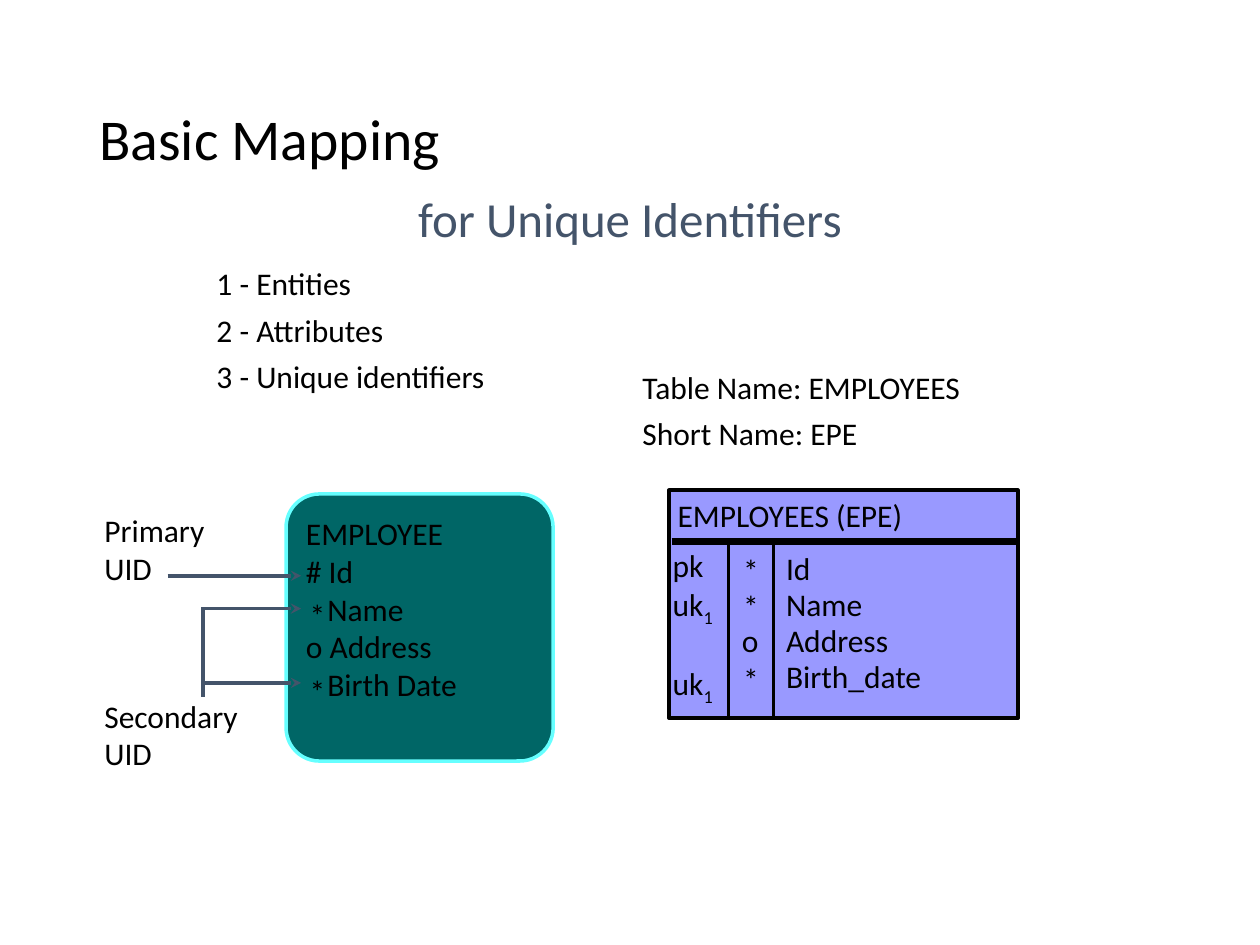
from dataclasses import dataclass

from lxml.etree import SubElement
from pptx import Presentation
from pptx.dml.color import RGBColor as Rgb
from pptx.enum.shapes import MSO_CONNECTOR as Connector, MSO_SHAPE as Preset
from pptx.enum.text import MSO_ANCHOR as Anchor, PP_ALIGN as Align
from pptx.oxml.ns import qn
from pptx.util import Inches, Pt


@dataclass(frozen=True)
class Theme:
    font: str = "Calibri"
    ink: str = "000000"
    accent: str = "44546A"
    entity_fill: str = "006666"
    entity_edge: str = "66FFFF"
    table_fill: str = "9999FF"
    title: float = 33
    subtitle: float = 28
    body: float = 18
    thin: float = 2
    thick: float = 4


@dataclass(frozen=True)
class Row:
    text: str
    subscript: str = ""
    indent: float = 0
    before: float = 0


@dataclass(frozen=True)
class Panel:
    preset: Preset
    box: tuple
    fill: str
    edge: str


@dataclass(frozen=True)
class Rule:
    start: tuple
    end: tuple
    color: str
    width: float = 2
    arrow: bool = False


THEME = Theme()


def add_text(slide, box: tuple, rows: list, *, size: float = THEME.body,
             color: str = THEME.ink, align: Align = Align.LEFT,
             anchor: Anchor = Anchor.TOP, spacing: float = 1.0,
             gap: float = 0) -> None:
    frame = slide.shapes.add_textbox(*map(Inches, box)).text_frame
    frame.word_wrap = True
    frame.vertical_anchor = anchor
    for index, row in enumerate(rows):
        paragraph = frame.paragraphs[0] if index == 0 else frame.add_paragraph()
        paragraph.alignment = align
        paragraph.line_spacing = spacing
        if index:
            paragraph.space_before = Pt(gap + row.before)
        if row.indent:
            paragraph._p.get_or_add_pPr().set("marL", str(Inches(row.indent)))
        for part, offset in ((row.text, 0), (row.subscript, -25000)):
            if not part:
                continue
            run = paragraph.add_run()
            run.text = part
            run.font.name = THEME.font
            run.font.size = Pt(size)
            run.font.color.rgb = Rgb.from_string(color)
            if offset:
                run._r.get_or_add_rPr().set("baseline", str(offset))


def add_panel(slide, panel: Panel) -> None:
    shape = slide.shapes.add_shape(panel.preset, *map(Inches, panel.box))
    shape.shadow.inherit = False
    shape.fill.solid()
    shape.fill.fore_color.rgb = Rgb.from_string(panel.fill)
    shape.line.color.rgb = Rgb.from_string(panel.edge)
    shape.line.width = Pt(THEME.thin)
    if panel.preset == Preset.ROUNDED_RECTANGLE:
        shape.adjustments[0] = 0.125


def add_rule(slide, rule: Rule) -> None:
    line = slide.shapes.add_connector(
        Connector.STRAIGHT, *map(Inches, rule.start + rule.end))
    line.line.color.rgb = Rgb.from_string(rule.color)
    line.line.width = Pt(rule.width)
    if rule.arrow:
        SubElement(line.line._get_or_add_ln(), qn("a:tailEnd"), type="stealth")
    SubElement(line._element.spPr, qn("a:effectLst"))


def plain(*texts: str) -> list:
    return [Row(text) for text in texts]


def add_headings(slide) -> None:
    add_text(slide, (0.69, 0.4, 8.62, 1.45), plain("Basic Mapping"),
             size=THEME.title, anchor=Anchor.MIDDLE, spacing=0.9)
    add_text(slide, (1.01, 1.45, 7.98, 0.96), plain("for Unique Identifiers"),
             size=THEME.subtitle, color=THEME.accent, align=Align.CENTER)
    add_text(slide, (1.62, 2.07, 2.67, 1.17),
             plain("1 - Entities", "2 - Attributes", "3 - Unique identifiers"),
             spacing=0.95, gap=6)
    add_text(slide, (5, 2.89, 3.31, 0.78),
             plain("Table Name: EMPLOYEES", "Short Name: EPE"),
             spacing=0.95, gap=6)


def add_entity(slide) -> None:
    add_panel(slide, Panel(Preset.ROUNDED_RECTANGLE, (2.27, 3.92, 2.12, 2.12),
                           THEME.entity_fill, THEME.entity_edge))
    add_text(slide, (2.33, 4.03, 2.1, 1.9),
             [Row("EMPLOYEE"), Row("# Id"), Row("Name", indent=0.17),
              Row("o Address"), Row("Birth Date", indent=0.17)])
    add_text(slide, (2.3, 4.68, 0.54, 1),
             [Row("*", indent=0.06), Row("*", indent=0.06, before=22)])
    add_text(slide, (0.73, 4.01, 1.13, 0.7), plain("Primary", "UID"))
    add_text(slide, (0.73, 5.48, 1.48, 0.7), plain("Secondary", "UID"))
    for left, y in ((1.33, 4.57), (1.61, 4.83), (1.61, 5.42)):
        add_rule(slide, Rule((left, y), (2.39, y), THEME.accent, arrow=True))
    add_rule(slide, Rule((1.61, 4.82), (1.61, 5.53), THEME.accent))


def add_table_diagram(slide) -> None:
    header_bottom, bottom = 4.3, 5.7
    add_panel(slide, Panel(Preset.RECTANGLE, (5.31, 3.89, 2.77, 1.81),
                           THEME.table_fill, THEME.ink))
    add_rule(slide, Rule((5.33, header_bottom), (8.07, header_bottom),
                         THEME.ink, THEME.thick))
    for x in (5.78, 6.14):
        add_rule(slide, Rule((x, header_bottom), (x, bottom), THEME.ink))
    add_text(slide, (5.28, 3.89, 2.76, 0.4), plain("EMPLOYEES (EPE)"))
    star = Row("*", indent=0.06)
    columns = (
        ((5.24, 4.31, 0.85, 1.24),
         [Row("pk"), Row("uk", "1"), Row("uk", "1", before=22)]),
        ((5.74, 4.35, 0.54, 1.24),
         [star, star, Row("*", indent=0.06, before=21)]),
        ((5.73, 4.9, 0.54, 0.39), [Row("o", indent=0.06)]),
        ((6.14, 4.33, 1.44, 1.24),
         plain("Id", "Name", "Address", "Birth_date")),
    )
    for box, rows in columns:
        add_text(slide, box, rows, spacing=0.95)


def main() -> None:
    deck = Presentation()
    deck.slide_width, deck.slide_height = Inches(10), Inches(7.5)
    slide = deck.slides.add_slide(deck.slide_layouts[6])
    add_headings(slide)
    add_entity(slide)
    add_table_diagram(slide)
    deck.save("out.pptx")


if __name__ == "__main__":
    main()
